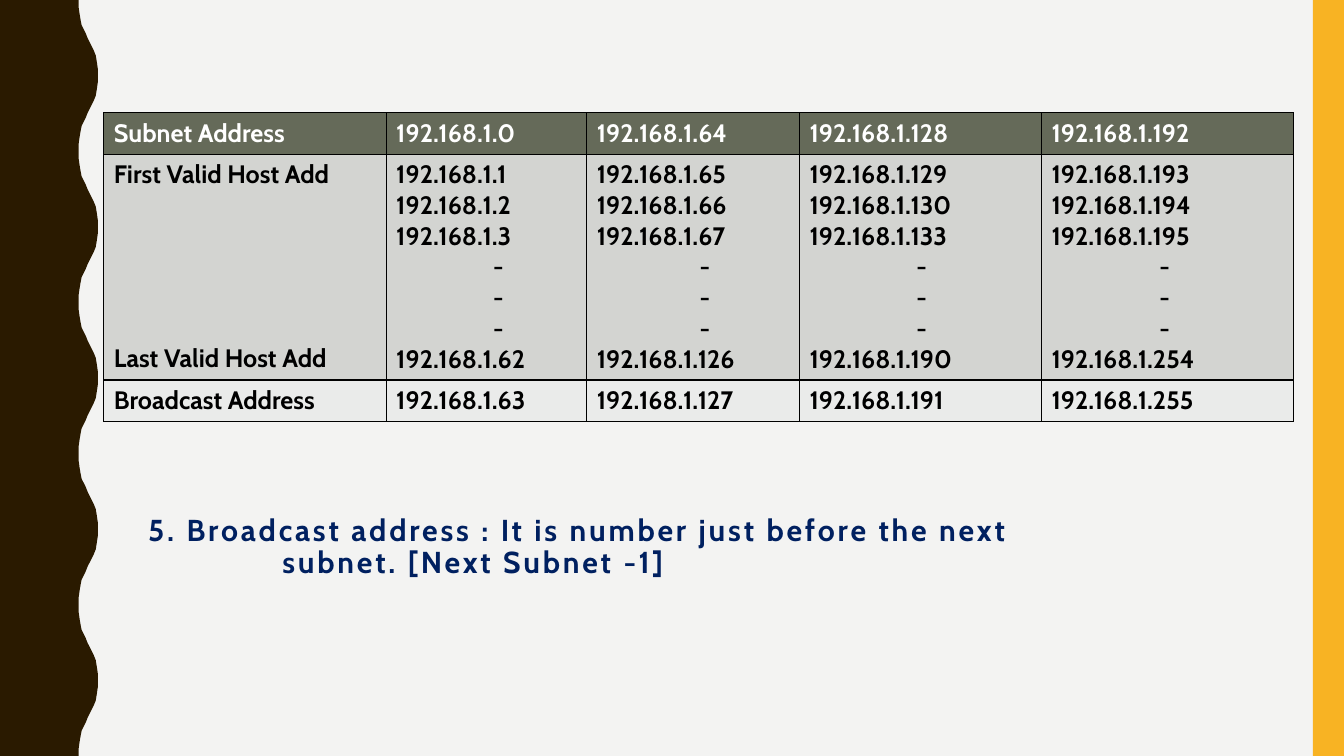
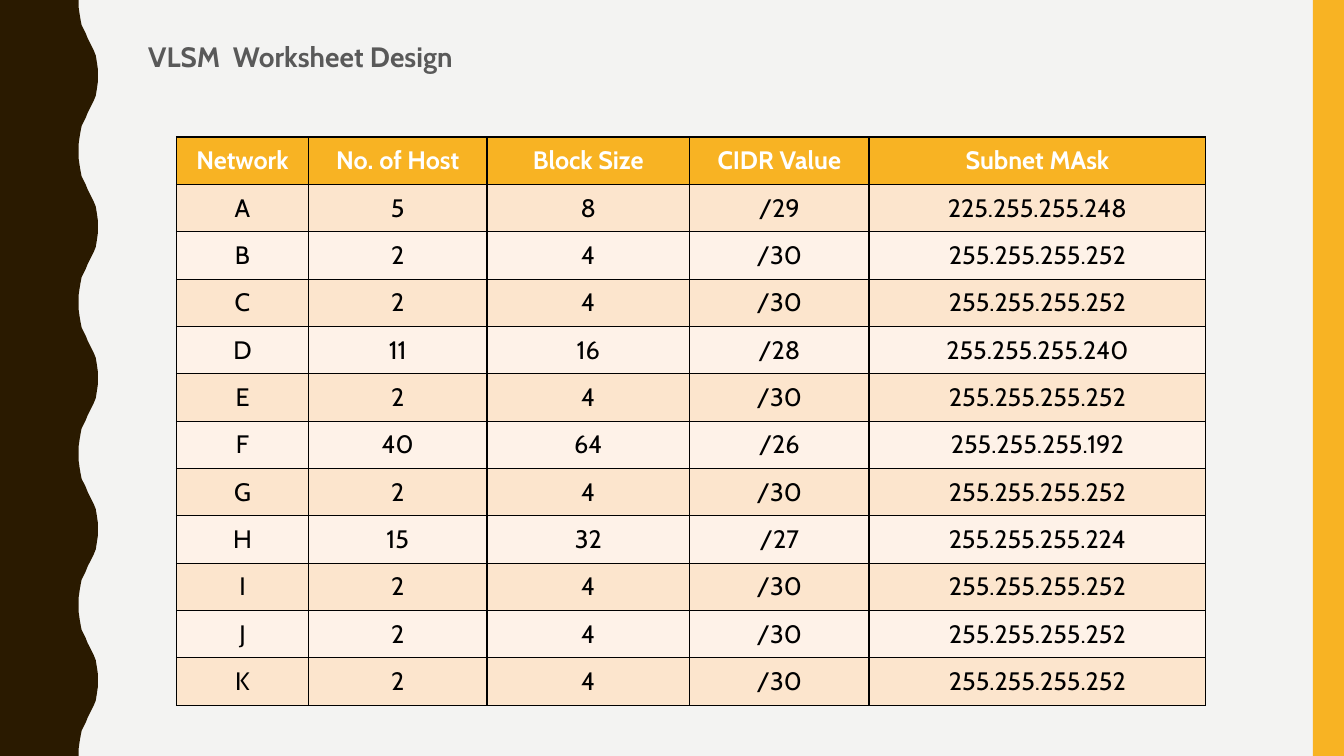
"""Builds two slides on subnet ranges and a VLSM worksheet."""
from pptx import Presentation
from pptx import util as u
from pptx.dml import color
from pptx.enum import shapes, text
from pptx.oxml import parse_xml
from pptx.oxml.ns import nsdecls

HOSTS = [
    ["Subnet Address", "192.168.1.0", "192.168.1.64", "192.168.1.128", "192.168.1.192"],
    ["First Valid Host Add\n\n\n\n\n\nLast Valid Host Add",
     "192.168.1.1\n192.168.1.2\n192.168.1.3\n-\n-\n-\n192.168.1.62",
     "192.168.1.65\n192.168.1.66\n192.168.1.67\n-\n-\n-\n192.168.1.126",
     "192.168.1.129\n192.168.1.130\n192.168.1.133\n-\n-\n-\n192.168.1.190",
     "192.168.1.193\n192.168.1.194\n192.168.1.195\n-\n-\n-\n192.168.1.254"],
    ["Broadcast Address", "192.168.1.63", "192.168.1.127", "192.168.1.191", "192.168.1.255"],
]
SMALL = ["2", "4", "/30", "255.255.255.252"]
NETS = [
    ["Network", "No. of Host", "Block Size", "CIDR Value", "Subnet MAsk"],
    ["A", "5", "8", "/29", "225.255.255.248"],
    ["B", *SMALL],
    ["C", *SMALL],
    ["D", "11", "16", "/28", "255.255.255.240"],
    ["E", *SMALL],
    ["F", "40", "64", "/26", "255.255.255.192"],
    ["G", *SMALL],
    ["H", "15", "32", "/27", "255.255.255.224"],
    ["I", *SMALL],
    ["J", *SMALL],
    ["K", *SMALL],
]
CREST = [(0.78, 0), (0.78, 0.07), (0.79, 0.14), (0.8, 0.2), (0.81, 0.25),
         (0.83, 0.29), (0.85, 0.33), (0.87, 0.38), (0.89, 0.42), (0.91, 0.46),
         (0.93, 0.5), (0.95, 0.55), (0.96, 0.61), (0.97, 0.68), (0.97, 0.75)]


def rgb(code):
    return color.RGBColor.from_string(code)


class Deck:
    FONT = "Cabin"
    PAPER, BROWN, GOLD = "F3F3F2", "2A1A00", "F8B323"
    WHITE, BLACK = "FFFFFF", "000000"
    WIDE, HIGH, WAVE = 13.33, 7.5, 1.5
    SIZE, LINE = 18, 21.87

    def __init__(self):
        self.prs = Presentation()
        self.prs.slide_width = u.Inches(self.WIDE)
        self.prs.slide_height = u.Inches(self.HIGH)
        fill = self.prs.slide_master.background.fill
        fill.solid()
        fill.fore_color.rgb = rgb(self.PAPER)

    def page(self):
        self.slide = self.prs.slides.add_slide(self.prs.slide_layouts[5])
        self.wave()
        band = self.slide.shapes.add_shape(
            shapes.MSO_SHAPE.RECTANGLE, u.Inches(13.02), 0, u.Inches(0.31), u.Inches(self.HIGH))
        self.paint(band, self.GOLD)

    def paint(self, shape, code):
        shape.shadow.inherit = False
        shape.fill.solid()
        shape.fill.fore_color.rgb = rgb(code)
        shape.line.fill.background()

    def wave(self):
        turn = CREST + [(x, self.WAVE - y) for x, y in CREST[-2::-1]]
        edge = [(x, y + n * self.WAVE) for n in range(5) for x, y in turn]
        pen = self.slide.shapes.build_freeform(0, 0, scale=1.0)
        pen.add_line_segments(
            [(u.Inches(x), u.Inches(y)) for x, y in edge + [(0, self.HIGH)]], close=True)
        self.paint(pen.convert_to_shape(), self.BROWN)

    def run(self, para, words, size, code, bold):
        run = para.add_run()
        run.text = words
        font = run.font
        font.name, font.size, font.bold = self.FONT, u.Pt(size), bold
        font.color.rgb = rgb(code)
        return run

    def title(self, lines, top, high, size, code, lead, hang=0, track=0):
        box = self.slide.shapes.title
        box.left, box.top = u.Inches(1.37), u.Inches(top)
        box.width, box.height = u.Inches(11.13), u.Inches(high)
        frame = box.text_frame
        frame.auto_size = text.MSO_AUTO_SIZE.NONE
        frame.word_wrap = True
        frame.vertical_anchor = text.MSO_ANCHOR.TOP
        para = frame.paragraphs[0]
        para.alignment = text.PP_ALIGN.LEFT
        para.line_spacing = lead
        self.indent(para, hang, -hang)
        for n, line in enumerate(lines):
            if n:
                para.add_line_break()
            run = self.run(para, line, size, code, True)
            run.font._element.set("spc", str(track * 100))

    def indent(self, para, left, first=0):
        props = para._p.get_or_add_pPr()
        props.set("marL", str(u.Inches(left)))
        props.set("indent", str(u.Inches(first)))

    def table(self, data, left, top, cols, rows, fills, align, bold, dash=None):
        grid = self.slide.shapes.add_table(
            len(data), len(cols), u.Inches(left), u.Inches(top),
            u.Inches(sum(cols)), u.Inches(sum(rows))).table
        grid.horz_banding = False
        for col, wide in zip(grid.columns, cols):
            col.width = u.Inches(wide)
        for r, line in enumerate(data):
            grid.rows[r].height = u.Inches(rows[r])
            code = fills[0] if r == 0 else fills[2 - r % 2]
            ink = self.BLACK if r else self.WHITE
            for c, words in enumerate(line):
                cell = grid.cell(r, c)
                self.frame(cell)
                cell.fill.solid()
                cell.fill.fore_color.rgb = rgb(code)
                if align == text.PP_ALIGN.CENTER:
                    cell.vertical_anchor = text.MSO_ANCHOR.MIDDLE
                self.label(cell, words, ink, bold or r == 0, align, dash[c] if dash else 0)

    def frame(self, cell):
        props = cell._tc.get_or_add_tcPr()
        for side in "LRTB":
            props.append(parse_xml(
                f'<a:ln{side} {nsdecls("a")} w="12700"><a:solidFill>'
                f'<a:srgbClr val="{self.BLACK}"/></a:solidFill></a:ln{side}>'))

    def label(self, cell, words, ink, bold, align, dash):
        gap = 0
        for n, line in enumerate(words.split("\n")):
            if not line:
                gap += 1
                continue
            para = cell.text_frame.add_paragraph() if n else cell.text_frame.paragraphs[0]
            para.alignment = align
            if gap:
                para.space_before = u.Pt(round(gap * self.LINE, 1))
                gap = 0
            if line == "-":
                self.indent(para, dash)
            self.run(para, line, self.SIZE, ink, bold)


def main():
    deck = Deck()
    deck.page()
    deck.title(["5. Broadcast address : It is number just before the next",
                "subnet. [Next Subnet -1]"],
               5.06, 0.62, 21.6, "002060", 0.9, hang=1.33, track=2)
    deck.table(HOSTS, 1.03, 1.12, [2.8, 1.99, 2.11, 2.4, 2.5], [0.41, 2.24, 0.41],
               ["656A59", "D3D4D1", "EAEBEA"], text.PP_ALIGN.LEFT, True,
               dash=[0, 0.96, 1.02, 1.06, 1.07])
    deck.page()
    deck.title(["VLSM  Worksheet Design"], 0.31, 0.6, 20, "595959", 1.1)
    deck.table(NETS, 1.75, 1.36, [1.31, 1.77, 2.01, 1.78, 3.34], [0.47] * len(NETS),
               [deck.GOLD, "FCE5CD", "FEF2E8"], text.PP_ALIGN.CENTER, False)
    deck.prs.save("out.pptx")


if __name__ == "__main__":
    main()
